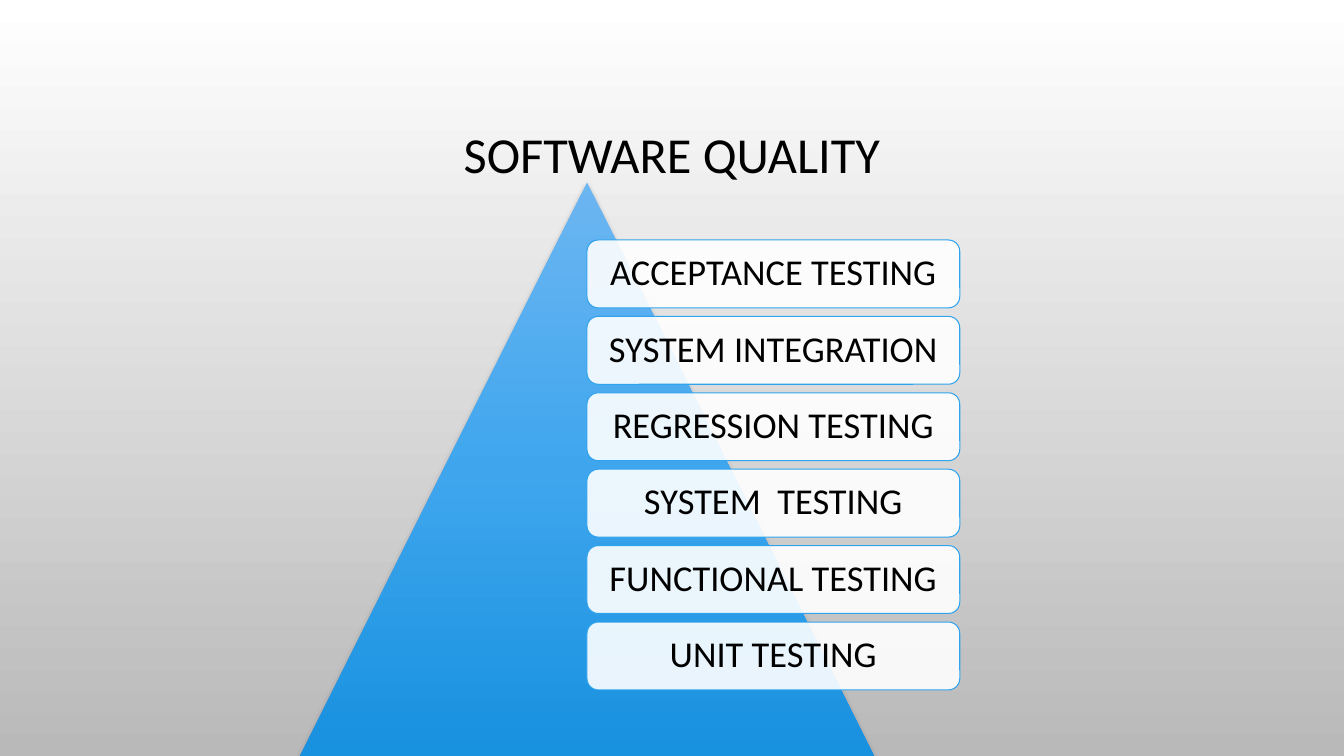
"""Build the software quality slide: a pyramid with six levels of testing."""
from dataclasses import dataclass

from lxml import etree
from pptx import Presentation, util as u
from pptx.dml import color as dml, fill as fills
from pptx.enum import shapes, text
from pptx.oxml import ns
from pptx.shapes import autoshape as auto

HUES = {
    "ink": "000000", "card": "FFFFFF", "edge": "2FA3EE",
    "sky": "FFFFFF", "ground": "B9B9B9",
    "peak": "6CB6F1", "mid": "3FA6EE", "base": "1891DF",
}
TESTS = [
    "ACCEPTANCE TESTING", "SYSTEM INTEGRATION", "REGRESSION TESTING",
    "SYSTEM  TESTING", "FUNCTIONAL TESTING", "UNIT TESTING",
]
TOP, PITCH = 171.4, 54.58


@dataclass
class Box:
    left: float
    top: float
    width: float
    height: float

    def place(self) -> tuple:
        return u.Pt(self.left), u.Pt(self.top), u.Pt(self.width), u.Pt(self.height)


@dataclass
class Card:
    label: str
    box: Box


def rgb(name: str) -> dml.RGBColor:
    return dml.RGBColor.from_string(HUES[name])


def node(parent, tag: str, **attrs: str):
    return etree.SubElement(parent, ns.qn(tag), attrs)


def shade(fill: fills.FillFormat, root, names: list[str]) -> None:
    fill.gradient()
    fill.gradient_angle = 270
    stops = root.find(".//" + ns.qn("a:gsLst"))
    for old in list(stops):
        stops.remove(old)
    for i, name in enumerate(names):
        stop = node(stops, "a:gs", pos=str(100000 * i // (len(names) - 1)))
        node(stop, "a:srgbClr", val=HUES[name])


def write(shape: auto.Shape, words: str, size: float, inset: float) -> None:
    frame = shape.text_frame
    frame.word_wrap = True
    frame.vertical_anchor = text.MSO_ANCHOR.MIDDLE
    frame.margin_left = frame.margin_right = u.Pt(inset)
    para = frame.paragraphs[0]
    para.text = words
    para.alignment = text.PP_ALIGN.CENTER
    para.line_spacing = 0.9
    para.font.name = "Calibri"
    para.font.size = u.Pt(size)
    para.font.color.rgb = rgb("ink")


def draw_peak(slide, box: Box) -> None:
    peak = slide.shapes.add_shape(shapes.MSO_SHAPE.ISOSCELES_TRIANGLE, *box.place())
    shade(peak.fill, peak.element, ["peak", "mid", "base"])
    peak.line.fill.background()
    peak.shadow.inherit = False
    glow = node(peak.element.find(".//" + ns.qn("a:effectLst")), "a:outerShdw",
                blurRad=str(u.Pt(4)), dist=str(u.Pt(2)), dir="5400000", rotWithShape="0")
    node(node(glow, "a:srgbClr", val=HUES["ink"]), "a:alpha", val="28000")


def draw_card(slide, card: Card) -> None:
    shape = slide.shapes.add_shape(shapes.MSO_SHAPE.ROUNDED_RECTANGLE, *card.box.place())
    shape.shadow.inherit = False
    shape.fill.solid()
    shape.fill.fore_color.rgb = rgb("card")
    tint = shape.element.find(".//" + ns.qn("a:solidFill"))[0]
    node(tint, "a:alpha", val="90000")
    shape.line.color.rgb = rgb("edge")
    shape.line.width = u.Pt(0.75)
    write(shape, card.label, 26, 10)


def main() -> None:
    deck = Presentation()
    deck.slide_width, deck.slide_height = u.Pt(960), u.Pt(540)
    slide = deck.slides.add_slide(deck.slide_layouts[6])
    shade(slide.background.fill, slide.element, ["sky", "ground"])
    title = slide.shapes.add_textbox(*Box(72, 49, 816, 126).place())
    write(title, "SOFTWARE QUALITY", 36, 7.2)
    draw_peak(slide, Box(214.5, 130.3, 409.7, 409.7))
    for i, label in enumerate(TESTS):
        draw_card(slide, Card(label, Box(419.3, TOP + i * PITCH, 266.3, 48.5)))
    deck.save("out.pptx")


if __name__ == "__main__":
    main()
